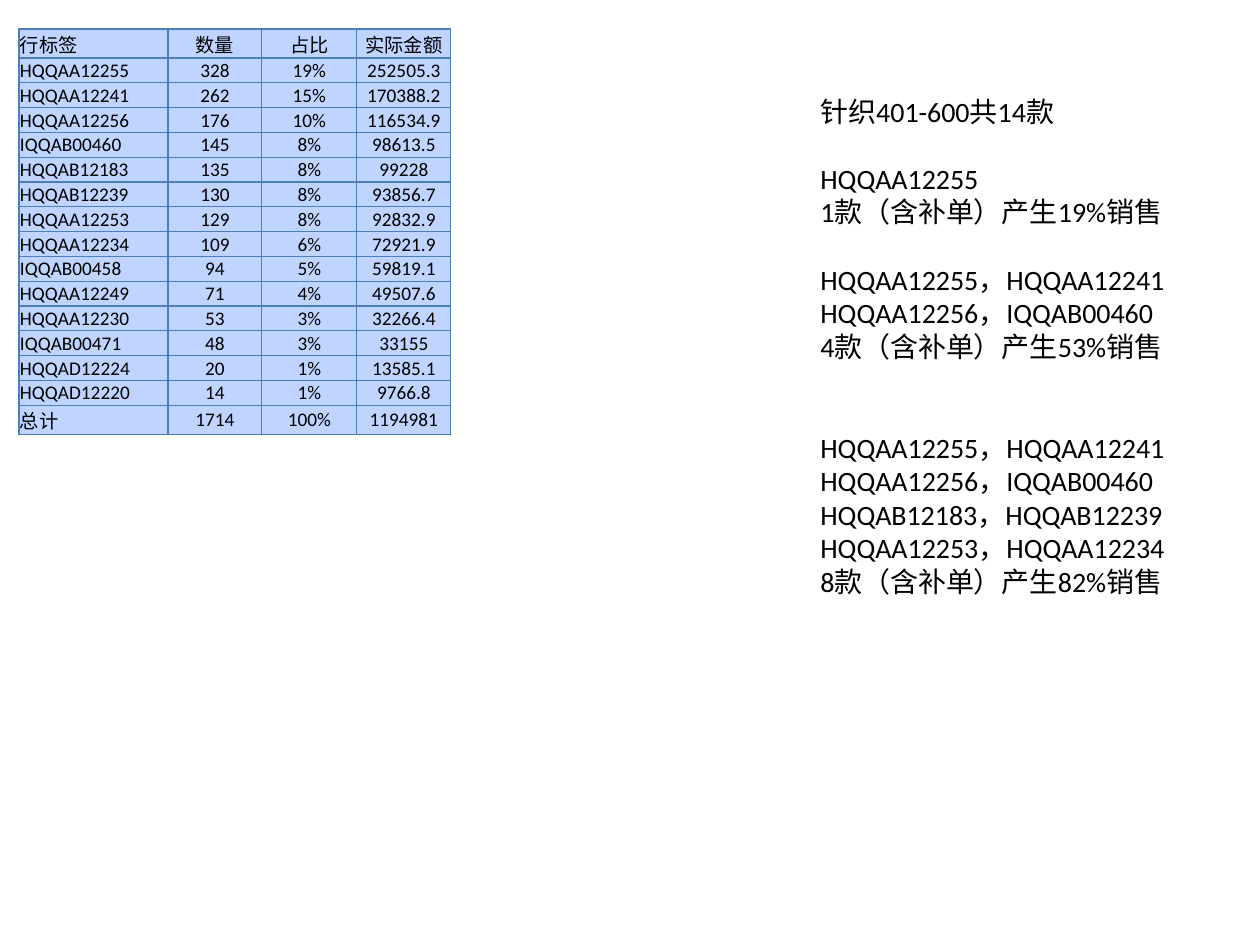
from dataclasses import dataclass
from typing import Any

from lxml import etree
from pptx import Presentation
from pptx.dml.color import RGBColor
from pptx.enum.text import MSO_ANCHOR, MSO_AUTO_SIZE, PP_ALIGN
from pptx.oxml.ns import qn
from pptx.util import Pt

EMU_PER_PX = 914400 / 126
LEFT, CENTER = PP_ALIGN.LEFT, PP_ALIGN.CENTER
MIDDLE, TOP = MSO_ANCHOR.MIDDLE, MSO_ANCHOR.TOP
GROW = MSO_AUTO_SIZE.SHAPE_TO_FIT_TEXT
FONT = "Calibri"
BLACK, CELL_FILL, BORDER = "000000", "BFD4FF", "4B7EBC"
BLANK_LINE_PT = 19.2

COLUMN_WIDTHS = (149, 94, 95, 94)
ROW_HEIGHT = 24
SALES_ROWS = (
    ("行标签", "数量", "占比", "实际金额"),
    ("HQQAA12255", "328", "19%", "252505.3"),
    ("HQQAA12241", "262", "15%", "170388.2"),
    ("HQQAA12256", "176", "10%", "116534.9"),
    ("IQQAB00460", "145", "8%", "98613.5"),
    ("HQQAB12183", "135", "8%", "99228"),
    ("HQQAB12239", "130", "8%", "93856.7"),
    ("HQQAA12253", "129", "8%", "92832.9"),
    ("HQQAA12234", "109", "6%", "72921.9"),
    ("IQQAB00458", "94", "5%", "59819.1"),
    ("HQQAA12249", "71", "4%", "49507.6"),
    ("HQQAA12230", "53", "3%", "32266.4"),
    ("IQQAB00471", "48", "3%", "33155"),
    ("HQQAD12224", "20", "1%", "13585.1"),
    ("HQQAD12220", "14", "1%", "9766.8"),
    ("总计", "1714", "100%", "1194981"),
)


@dataclass(frozen=True)
class Box:
    left: int
    top: int
    width: int
    height: int

    def emu(self) -> tuple[int, ...]:
        return tuple(px(n) for n in (self.left, self.top, self.width, self.height))


@dataclass(frozen=True)
class NoteGroup:
    lines: tuple[str, ...]
    gap_lines: int = 0


NOTE_GROUPS = (
    NoteGroup(("针织401-600共14款",)),
    NoteGroup(("HQQAA12255", "1款（含补单）产生19%销售"), 1),
    NoteGroup(
        ("HQQAA12255，HQQAA12241", "HQQAA12256，IQQAB00460", "4款（含补单）产生53%销售"), 1
    ),
    NoteGroup(
        (
            "HQQAA12255，HQQAA12241",
            "HQQAA12256，IQQAB00460",
            "HQQAB12183，HQQAB12239",
            "HQQAA12253，HQQAA12234",
            "8款（含补单）产生82%销售",
        ),
        2,
    ),
)


def px(length: int) -> int:
    return round(length * EMU_PER_PX)


def color(value: str) -> RGBColor:
    return RGBColor.from_string(value)


def apply_format(target: Any, values: dict[str, Any]) -> None:
    for name, value in values.items():
        setattr(target, name, value)


def write_text(paragraph: Any, text: str, size: int, alignment: Any = LEFT) -> None:
    paragraph.alignment = alignment
    run = paragraph.add_run()
    run.text = text
    apply_format(run.font, {"name": FONT, "size": Pt(size)})
    run.font.color.rgb = color(BLACK)


def add_borders(cell: Any) -> None:
    properties = cell._tc.get_or_add_tcPr()
    for side in ("lnL", "lnR", "lnT", "lnB"):
        line = etree.SubElement(properties, qn(f"a:{side}"), w=str(Pt(0.75)))
        fill = etree.SubElement(line, qn("a:solidFill"))
        etree.SubElement(fill, qn("a:srgbClr"), val=BORDER)


def add_sales_table(slide: Any, left: int, top: int) -> None:
    box = Box(left, top, sum(COLUMN_WIDTHS), ROW_HEIGHT * len(SALES_ROWS))
    table = slide.shapes.add_table(len(SALES_ROWS), len(COLUMN_WIDTHS), *box.emu()).table
    apply_format(table, {"first_row": False, "horz_banding": False})
    for column, width in zip(table.columns, COLUMN_WIDTHS):
        column.width = px(width)
    cell_format = {
        "margin_left": px(1),
        "margin_right": px(1),
        "margin_top": px(1),
        "margin_bottom": 0,
        "vertical_anchor": MIDDLE,
    }
    for row, texts in zip(table.rows, SALES_ROWS):
        row.height = px(ROW_HEIGHT)
        for index, (cell, text) in enumerate(zip(row.cells, texts)):
            apply_format(cell, cell_format)
            add_borders(cell)
            cell.fill.solid()
            cell.fill.fore_color.rgb = color(CELL_FILL)
            write_text(cell.text_frame.paragraphs[0], text, 11, CENTER if index else LEFT)


def add_notes_box(slide: Any, box: Box) -> None:
    frame = slide.shapes.add_textbox(*box.emu()).text_frame
    apply_format(frame, {"word_wrap": True, "auto_size": GROW, "vertical_anchor": TOP})
    paragraph = frame.paragraphs[0]
    for group in NOTE_GROUPS:
        for index, text in enumerate(group.lines):
            if paragraph.runs:
                paragraph = frame.add_paragraph()
            if index == 0 and group.gap_lines:
                paragraph.space_before = Pt(BLANK_LINE_PT * group.gap_lines)
            write_text(paragraph, text, 16)


def main() -> None:
    presentation = Presentation()
    apply_format(presentation, {"slide_width": px(1260), "slide_height": px(945)})
    slide = presentation.slides.add_slide(presentation.slide_layouts[6])
    add_sales_table(slide, 19, 29)
    add_notes_box(slide, Box(808, 88, 374, 848))
    presentation.save("out.pptx")


if __name__ == "__main__":
    main()
